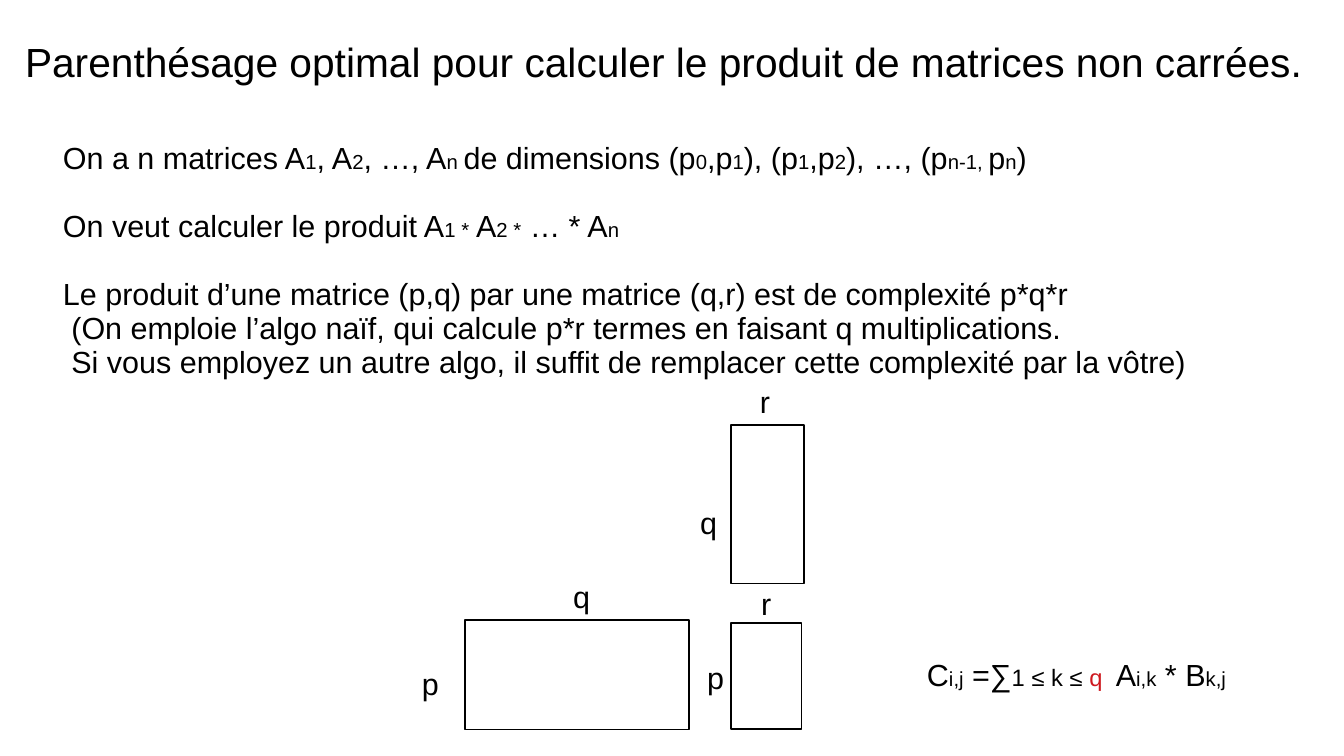
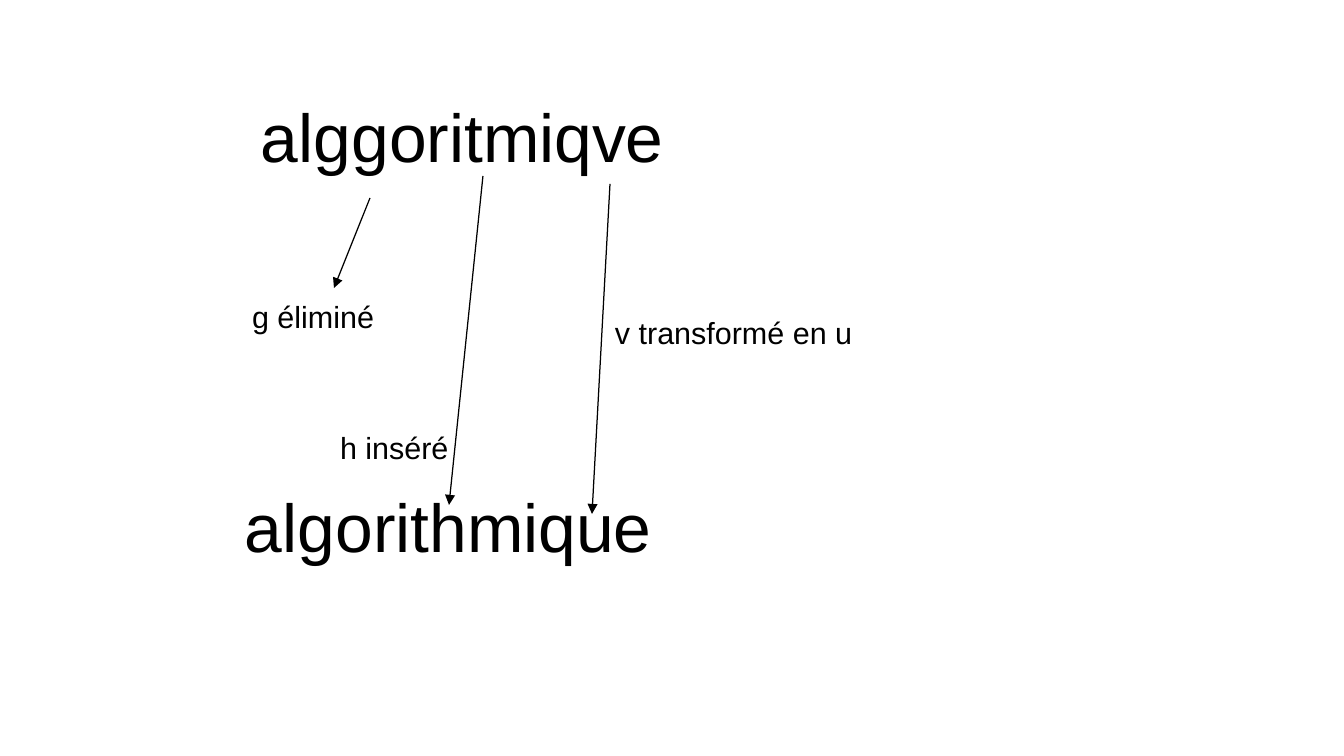
from lxml.etree import SubElement
from pptx import Presentation
from pptx.dml.color import RGBColor
from pptx.enum.shapes import MSO_CONNECTOR, MSO_SHAPE
from pptx.enum.text import MSO_ANCHOR, MSO_AUTO_SIZE, PP_ALIGN
from pptx.oxml.ns import qn
from pptx.util import Pt

PX = 914400 / 122
FONT, BLACK, WHITE, RED = "Arial", "000000", "FFFFFF", "CE181E"
BODY, SUBSCRIPT, BOUNDS = 18, 12, 14
LINE_SPACING = 0.93
BLANK_LINE = Pt(20)
SPACE_INDENT = round(5 * 12700)


def px(*lengths):
    return [round(length * PX) for length in lengths]


def color(hex_string):
    return RGBColor.from_string(hex_string)


def fill_text(shape, lines, size=BODY, top_inset=6):
    """Write the lines; within a line, every second part between bars is a subscript."""
    frame = shape.text_frame
    frame.word_wrap = True
    frame.auto_size = MSO_AUTO_SIZE.NONE
    frame.vertical_anchor = MSO_ANCHOR.TOP
    frame.margin_left, frame.margin_top, frame.margin_right, frame.margin_bottom = px(12, top_inset, 12, 6)
    for number, line in enumerate(lines):
        paragraph = frame.add_paragraph() if number else frame.paragraphs[0]
        paragraph.alignment = PP_ALIGN.LEFT
        paragraph.line_spacing = LINE_SPACING
        paragraph.font.name = FONT
        paragraph.font.size = Pt(size)
        paragraph.font.color.rgb = color(BLACK)
        for position, part in enumerate(line.split("|")):
            if part:
                run = paragraph.add_run()
                run.text = part
                if position % 2:
                    run.font.size = Pt(SUBSCRIPT)
    return frame.paragraphs


deck = Presentation()
deck.slide_width, deck.slide_height = px(1344, 756)

# Matrix products
matrices = deck.slides.add_slide(deck.slide_layouts[5])
title = matrices.shapes.title
title.left, title.top, title.width, title.height = px(13, 33, 1308, 102)
fill_text(title, ["Parenthésage optimal pour calculer le produit de matrices non carrées."], 24, 8)

problem = fill_text(matrices.shapes.add_textbox(*px(51, 134, 1222, 456)), [
    "On a n matrices A|1|, A|2|, …, A|n |de dimensions (p|0|,p|1|), (p|1|,p|2|), …, (p|n-1, |p|n|)",
    "On veut calculer le produit A|1 *| A|2 *| … * A|n",
    "Le produit d’une matrice (p,q) par une matrice (q,r) est de complexité p*q*r",
    "(On emploie l’algo naïf, qui calcule p*r termes en faisant q multiplications.",
    "Si vous employez un autre algo, il suffit de remplacer cette complexité par la vôtre)",
], top_inset=8)
for statement in problem[1:3]:
    statement.space_before = BLANK_LINE
for remark in problem[3:]:
    remark._p.get_or_add_pPr().set("marL", str(SPACE_INDENT))

for bounds in [(465, 620, 224, 110), (731, 425, 73, 159), (731, 623, 71, 106)]:
    matrix = matrices.shapes.add_shape(MSO_SHAPE.RECTANGLE, *px(*bounds))
    matrix.shadow.inherit = False
    matrix.fill.solid()
    matrix.fill.fore_color.rgb = color(WHITE)
    matrix.line.color.rgb = color(BLACK)
    matrix.line.width = Pt(0.75)

for dimension, left, top in [("q", 561, 573), ("q", 688, 499), ("p", 695, 654),
                             ("p", 410, 660), ("r", 749, 580), ("r", 748, 378)]:
    fill_text(matrices.shapes.add_textbox(*px(left, top, 43, 46)), [dimension], top_inset=8)

formula = fill_text(matrices.shapes.add_textbox(*px(915, 651, 325, 81)),
                    ["C|i,j| =∑|1 ≤ k ≤ |q  ||A|i,k| * B|k,j"], top_inset=8)[0]
sum_range, shared_dimension = formula.runs[3:5]
sum_range.font.size = shared_dimension.font.size = Pt(BOUNDS)
shared_dimension.font.color.rgb = color(RED)

# Edits between two words
edits = deck.slides.add_slide(deck.slide_layouts[6])
for word, left, top in [("algorithmique", 233, 486), ("alggoritmiqve", 249, 96)]:
    fill_text(edits.shapes.add_textbox(*px(left, top, 1015, 88)), [word], 40)

for ends in [(370, 198, 334, 288), (483, 176, 449, 505), (610, 184, 592, 514)]:
    arrow = edits.shapes.add_connector(MSO_CONNECTOR.STRAIGHT, *px(*ends))
    arrow.line.color.rgb = color(BLACK)
    arrow.line.width = Pt(0.75)
    SubElement(arrow.line._get_or_add_ln(), qn("a:tailEnd"), type="triangle")
    SubElement(arrow._element.spPr, qn("a:effectLst"))

for edit, left, top, width, height in [("g éliminé", 240, 295, 174, 81),
                                       ("h inséré", 328, 426, 145, 81),
                                       ("v transformé en u", 603, 311, 421, 46)]:
    fill_text(edits.shapes.add_textbox(*px(left, top, width, height)), [edit])

deck.save("out.pptx")
